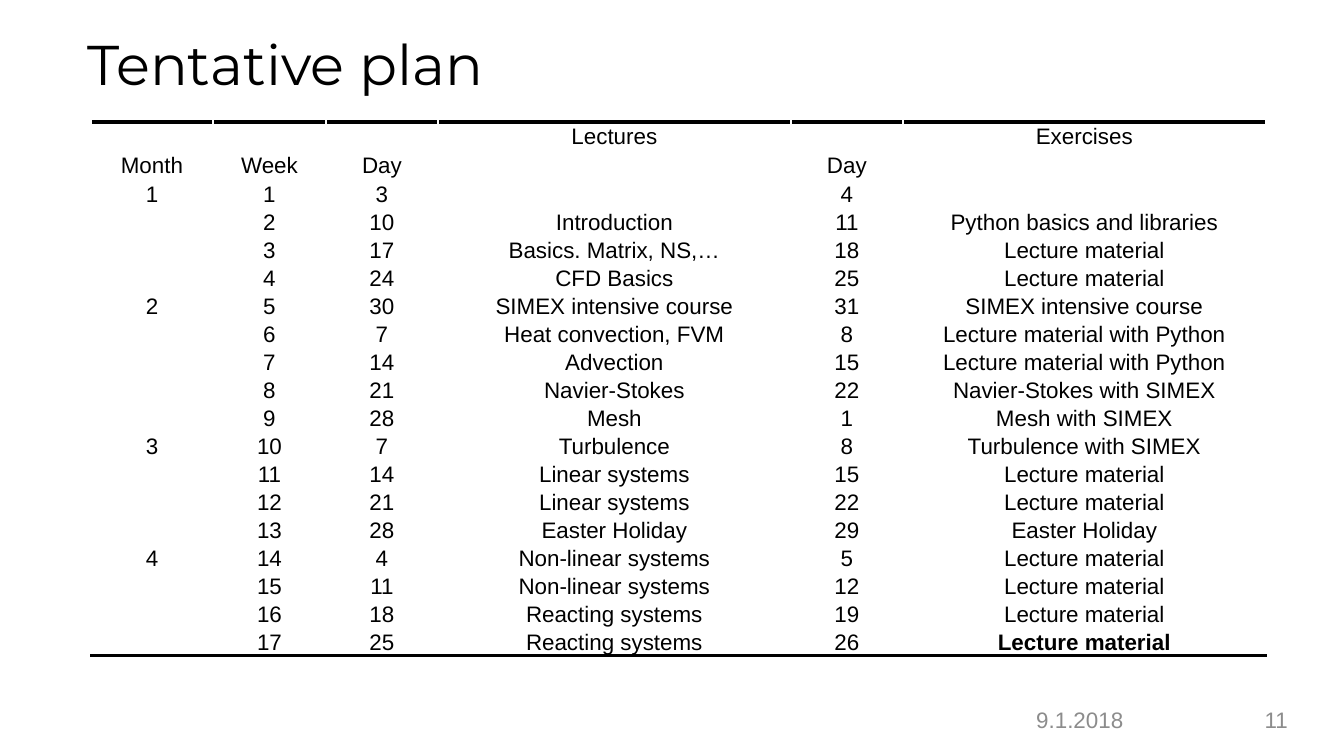
from dataclasses import dataclass

from lxml.etree import SubElement
from pptx import Presentation
from pptx.dml.color import RGBColor
from pptx.enum.text import MSO_ANCHOR, PP_ALIGN
from pptx.oxml import parse_xml
from pptx.oxml.ns import nsdecls, qn
from pptx.util import Pt

EMU_PER_PX = 914400 / 134.4


@dataclass(frozen=True)
class Theme:
    background: str = "FFFFFF"
    ink: str = "000000"
    muted: str = "8C8C8C"
    title_font: str = "Montserrat"
    body_font: str = "Arial"
    title_size: int = 30
    body_size: int = 12
    rule_width: int = 2


THEME = Theme()

COLUMN_WIDTHS = (122, 113, 112, 353, 112, 363)
HEADER_ROWS = 2
HEADER_HEIGHT = 29
ROW_HEIGHT = 28
PLAN = (
    ("", "", "", "Lectures", "", "Exercises"),
    ("Month", "Week", "Day", "", "Day", ""),
    ("1", "1", "3", "", "4", ""),
    ("", "2", "10", "Introduction", "11", "Python basics and libraries"),
    ("", "3", "17", "Basics. Matrix, NS,…", "18", "Lecture material"),
    ("", "4", "24", "CFD Basics", "25", "Lecture material"),
    ("2", "5", "30", "SIMEX intensive course", "31", "SIMEX intensive course"),
    ("", "6", "7", "Heat convection, FVM", "8", "Lecture material with Python"),
    ("", "7", "14", "Advection", "15", "Lecture material with Python"),
    ("", "8", "21", "Navier-Stokes", "22", "Navier-Stokes with SIMEX"),
    ("", "9", "28", "Mesh", "1", "Mesh with SIMEX"),
    ("3", "10", "7", "Turbulence", "8", "Turbulence with SIMEX"),
    ("", "11", "14", "Linear systems", "15", "Lecture material"),
    ("", "12", "21", "Linear systems", "22", "Lecture material"),
    ("", "13", "28", "Easter Holiday", "29", "Easter Holiday"),
    ("4", "14", "4", "Non-linear systems", "5", "Lecture material"),
    ("", "15", "11", "Non-linear systems", "12", "Lecture material"),
    ("", "16", "18", "Reacting systems", "19", "Lecture material"),
    ("", "17", "25", "Reacting systems", "26", "Lecture material"),
)
BOLD_CELL = (len(PLAN) - 1, len(COLUMN_WIDTHS) - 1)


def px(length):
    return round(length * EMU_PER_PX)


def add_run(paragraph, text, font_name, size, color, bold=False):
    run = paragraph.add_run()
    run.text = text
    run.font.name = font_name
    run.font.size = Pt(size)
    run.font.bold = bold
    run.font.color.rgb = RGBColor.from_string(color)


def add_label(slide, box, text, font_name, size, color, align=PP_ALIGN.LEFT):
    shape = slide.shapes.add_textbox(*map(px, box))
    frame = shape.text_frame
    frame.word_wrap = True
    frame.vertical_anchor = MSO_ANCHOR.MIDDLE
    paragraph = frame.paragraphs[0]
    paragraph.alignment = align
    add_run(paragraph, text, font_name, size, color)


def add_rule(cell, side):
    """Draw a border on one side of a cell: "T" for top, "B" for bottom."""
    cell._tc.get_or_add_tcPr().insert(0, parse_xml(
        f'<a:ln{side} {nsdecls("a")} w="{Pt(THEME.rule_width)}"><a:solidFill>'
        f'<a:srgbClr val="{THEME.ink}"/></a:solidFill></a:ln{side}>'))


def fill_cell(cell, text, bold):
    cell.fill.solid()
    cell.fill.fore_color.rgb = RGBColor.from_string(THEME.background)
    cell.margin_left = cell.margin_right = cell.margin_top = px(1)
    cell.margin_bottom = 0
    cell.vertical_anchor = MSO_ANCHOR.MIDDLE
    paragraph = cell.text_frame.paragraphs[0]
    paragraph.alignment = PP_ALIGN.CENTER
    if text:
        add_run(paragraph, text, THEME.body_font, THEME.body_size, THEME.ink, bold)
    else:
        # Keeps an empty cell from stretching its row.
        SubElement(paragraph._p, qn("a:endParaRPr"), sz=str(THEME.body_size * 100))


def add_plan_table(slide, left, top):
    heights = [HEADER_HEIGHT if index < HEADER_ROWS else ROW_HEIGHT
               for index in range(len(PLAN))]
    box = (left, top, sum(COLUMN_WIDTHS), sum(heights))
    table = slide.shapes.add_table(
        len(PLAN), len(COLUMN_WIDTHS), *map(px, box)).table
    table.first_row = table.horz_banding = False
    for column, width in zip(table.columns, COLUMN_WIDTHS):
        column.width = px(width)
    for row_index, (row, height) in enumerate(zip(table.rows, heights)):
        row.height = px(height)
        for column_index, text in enumerate(PLAN[row_index]):
            cell = row.cells[column_index]
            fill_cell(cell, text, (row_index, column_index) == BOLD_CELL)
            if row_index == 0:
                add_rule(cell, "T")
            elif row_index == len(PLAN) - 1:
                add_rule(cell, "B")


def add_footer(slide, left, top, width, height):
    style = (THEME.body_font, THEME.body_size, THEME.muted)
    number_width = 100
    add_label(slide, (left, top, 155, height), "9.1.2018", *style)
    add_label(slide, (left + width - number_width, top, number_width, height),
              "11", *style, align=PP_ALIGN.RIGHT)


def main():
    presentation = Presentation()
    presentation.slide_width, presentation.slide_height = px(1344), px(756)
    slide = presentation.slides.add_slide(presentation.slide_layouts[6])
    add_label(slide, (74, 0, 1210, 126), "Tentative plan",
              THEME.title_font, THEME.title_size, THEME.ink)
    add_footer(slide, 1023, 700, 278, 40)
    add_plan_table(slide, 91, 122)
    presentation.save("out.pptx")


if __name__ == "__main__":
    main()
